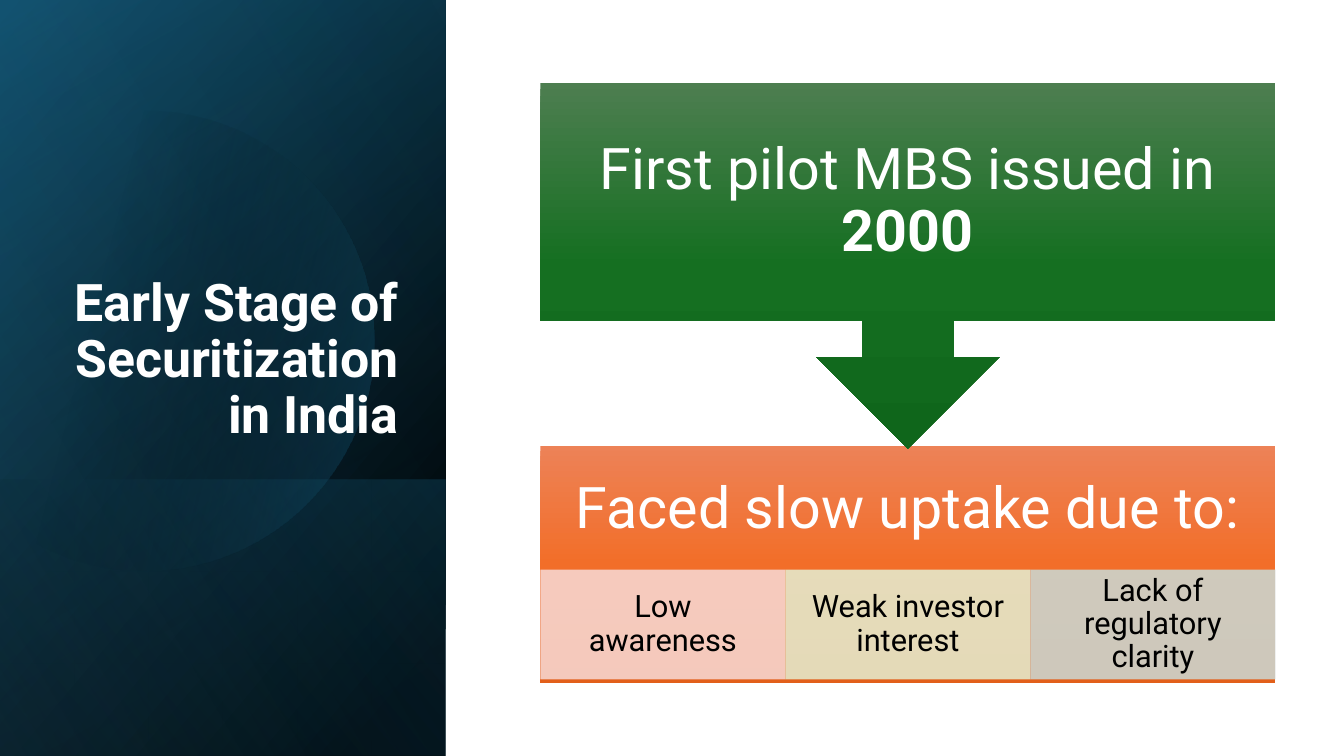
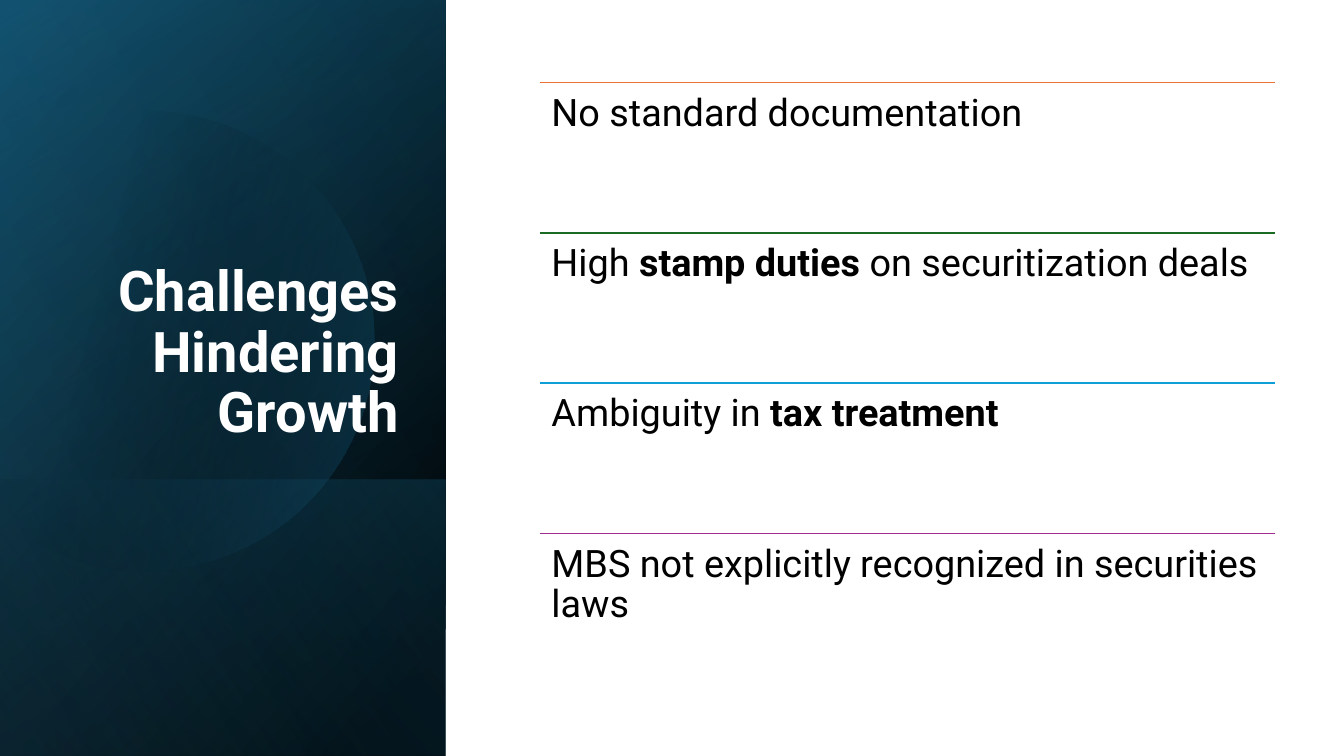
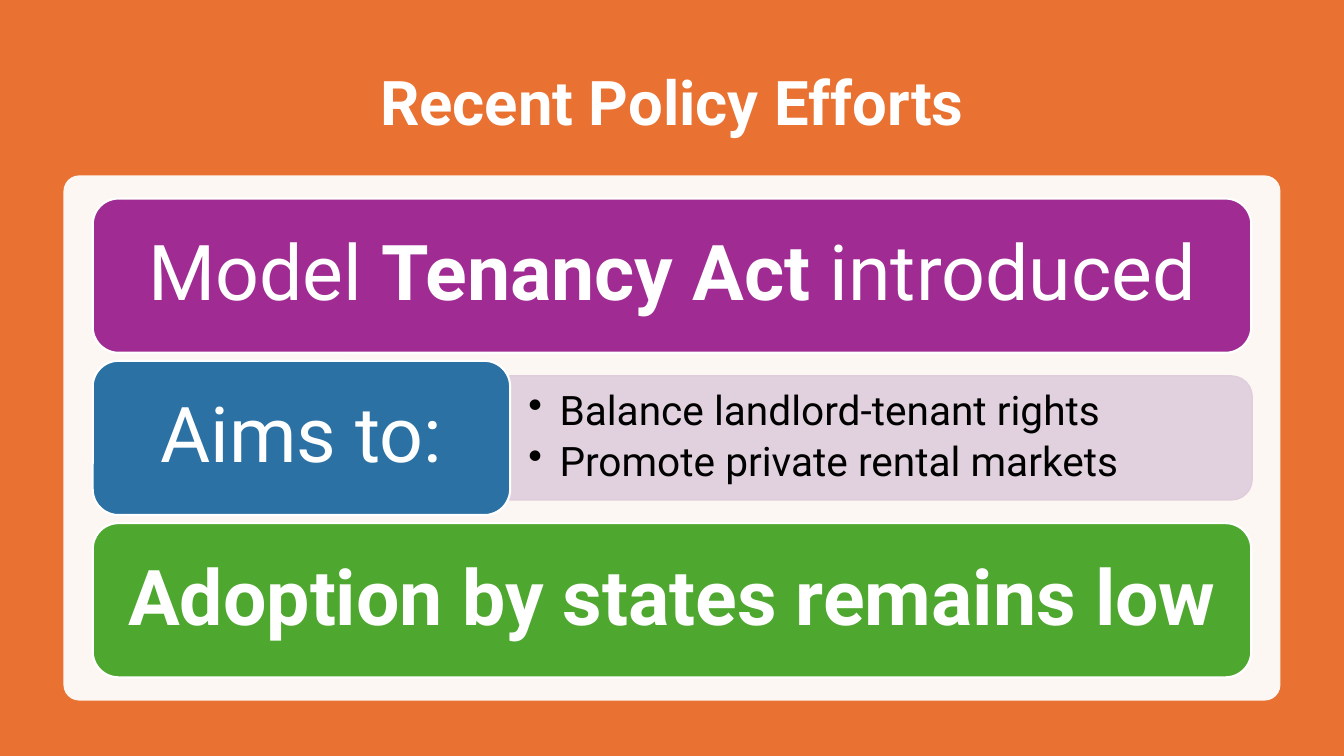
import math
from lxml import etree
from pptx import Presentation
from pptx.dml.color import RGBColor
from pptx.enum import shapes as es, text as et
from pptx.oxml import ns
from pptx.util import Inches, Pt

FONT = "Roboto"
WHITE, BLACK = RGBColor(255, 255, 255), RGBColor(0, 0, 0)
NAVY, TEAL = RGBColor(0x10, 0x48, 0x62), RGBColor(0x15, 0x60, 0x82)
SKY, AQUA = RGBColor(0x46, 0xB1, 0xE1), RGBColor(0x0F, 0x9E, 0xD5)
ORANGE, PLUM = RGBColor(0xE9, 0x71, 0x32), RGBColor(0xA0, 0x2B, 0x93)
PINE, LEAF = RGBColor(0x19, 0x6B, 0x24), RGBColor(0x4E, 0xA7, 0x2E)
STEEL, MAUVE = RGBColor(0x2C, 0x71, 0xA4), RGBColor(0xDF, 0xCD, 0xDC)
ROSE, LIME = RGBColor(0xF7, 0xD5, 0xCE), RGBColor(0xE5, 0xE8, 0xCA)
SAGE = RGBColor(0xCC, 0xD4, 0xCD)
GREENS = [(0, RGBColor(0x4D, 0x7E, 0x50), 100), (50, RGBColor(0x15, 0x6F, 0x21), 100),
          (100, RGBColor(0x0F, 0x66, 0x1B), 100)]
CORALS = [(0, RGBColor(0xED, 0x82, 0x57), 100), (50, RGBColor(0xF2, 0x6E, 0x29), 100),
          (100, RGBColor(0xE2, 0x5F, 0x1A), 100)]

KIND = es.MSO_SHAPE
LEFT, MID, RIGHT = et.PP_ALIGN.LEFT, et.PP_ALIGN.CENTER, et.PP_ALIGN.RIGHT
TOP, CENTER, BOTTOM = et.MSO_ANCHOR.TOP, et.MSO_ANCHOR.MIDDLE, et.MSO_ANCHOR.BOTTOM


def paint(shape, stops, angle=0, edge=None, width=1):
    """Fill with (position, colour, opacity) stops, angle clockwise; one stop is solid."""
    shape.shadow.inherit = False
    if len(stops) == 1:
        shape.fill.solid()
        shape.fill.fore_color.rgb = stops[0][1]
        tones = [shape.element.spPr.find(".//" + ns.qn("a:srgbClr"))]
    else:
        shape.fill.gradient()
        shape.fill.gradient_angle = -angle % 360
        ramp = shape.element.spPr.find(".//" + ns.qn("a:gsLst"))
        for old in list(ramp):
            ramp.remove(old)
        tones = []
        for pos, color, _ in stops:
            stop = etree.SubElement(ramp, ns.qn("a:gs"), pos=str(pos * 1000))
            tones.append(etree.SubElement(stop, ns.qn("a:srgbClr"), val=str(color)))
    for tone, (_, _, alpha) in zip(tones, stops):
        if alpha < 100:
            etree.SubElement(tone, ns.qn("a:alpha"), val=str(alpha * 1000))
    if edge is None:
        shape.line.fill.background()
    else:
        shape.line.color.rgb = edge
        shape.line.width = Pt(width)
    return shape


def write(shape, paras, size, color=WHITE, align=MID, anchor=CENTER,
          pad=(0.1, 0.05, 0.1, 0.05), bullet=False):
    """Each paragraph is a list of runs; a run starting with * is bold."""
    frame = shape.text_frame
    frame.word_wrap = True
    frame.vertical_anchor = anchor
    (frame.margin_left, frame.margin_top,
     frame.margin_right, frame.margin_bottom) = map(Inches, pad)
    for i, runs in enumerate(paras):
        para = frame.add_paragraph() if i else frame.paragraphs[0]
        para.alignment = align
        para.line_spacing = 0.9
        if bullet:
            para.space_after = Pt(5)
            props = para._p.get_or_add_pPr()
            props.set("marL", str(Inches(0.31)))
            props.set("indent", str(Inches(-0.31)))
            etree.SubElement(props, ns.qn("a:buChar"), char="•")
        for words in runs:
            run = para.add_run()
            run.text = words.lstrip("*")
            font = run.font
            font.name, font.size, font.bold = FONT, Pt(size), words.startswith("*")
            font.color.rgb = color


prs = Presentation()
prs.slide_width, prs.slide_height = Inches(13.33), Inches(7.5)
early, hurdles, policy = [prs.slides.add_slide(prs.slide_layouts[6]) for _ in range(3)]

# Dark side panel with title
PANEL = (0, 0, 4.42, 7.5)
FOOT = (0, 4.76, 4.42, 2.74)
BACK = [(PANEL, [(8, BLACK, 100), (100, NAVY, 100)], 220),
        (PANEL, [(0, BLACK, 0), (99, TEAL, 46)], 240),
        (FOOT, [(2, TEAL, 29), (100, BLACK, 30)], 140)]
GLOW = [(PANEL, [(0, BLACK, 0), (99, SKY, 11)], 150)]
RAD, MIDX, MIDY = 2.28, 1.43, 3.38
cut = math.acos(-MIDX / RAD)
arc = [(MIDX + RAD * math.cos(t), MIDY + RAD * math.sin(t))
       for t in [cut * (k / 40 - 1) for k in range(81)]]

for slide, title, size in [(early, "*Early Stage of Securitization in India", 37),
                           (hurdles, "*Challenges Hindering Growth", 40)]:
    for box, stops, angle in BACK:
        paint(slide.shapes.add_shape(KIND.RECTANGLE, *map(Inches, box)), stops, angle)
    pen = slide.shapes.build_freeform(Inches(arc[0][0]), Inches(arc[0][1]))
    pen.add_line_segments([(Inches(x), Inches(y)) for x, y in arc[1:]], close=True)
    paint(pen.convert_to_shape(), [(29, BLACK, 0), (100, TEAL, 43)], 14)
    for box, stops, angle in GLOW:
        paint(slide.shapes.add_shape(KIND.RECTANGLE, *map(Inches, box)), stops, angle)
    head = slide.shapes.add_textbox(*map(Inches, (0.64, 1.84, 3.41, 2.62)))
    write(head, [[title]], size, align=RIGHT, anchor=BOTTOM)

# Early stage: callout above the causes
COL, WIDE = 5.36, 7.29
base = early.shapes.add_shape(KIND.RECTANGLE, *map(Inches, (COL, 4.42, WIDE, 2.36)))
paint(base, CORALS, 90)
write(base, [["Faced slow uptake due to:"]], 41, pad=(0.32, 0.32, 0.32, 1.4))
for i, (cause, tint) in enumerate([("Low awareness", ROSE), ("Weak investor interest", LIME),
                                   ("Lack of regulatory clarity", SAGE)]):
    cell = early.shapes.add_shape(
        KIND.RECTANGLE, *map(Inches, (COL + i * WIDE / 3, 5.65, WIDE / 3, 1.09)))
    paint(cell, [(0, tint, 90)])
    write(cell, [[cause]], 22, BLACK, pad=(0.17, 0.03, 0.17, 0.03))
pilot = early.shapes.add_shape(KIND.DOWN_ARROW_CALLOUT, *map(Inches, (COL, 0.82, WIDE, 3.63)))
paint(pilot, GREENS, 90)
write(pilot, [["First pilot MBS issued in ", "*2000"]], 41, pad=(0.32,) * 4)

# Challenges: ruled rows
ROW = 1.49
for i, (runs, color) in enumerate([
        (["No standard documentation"], ORANGE),
        (["High ", "*stamp duties", " on securitization deals"], PINE),
        (["Ambiguity in ", "*tax treatment"], AQUA),
        (["MBS not explicitly recognized in securities laws"], PLUM)]):
    y = 0.82 + i * ROW
    rule = hurdles.shapes.add_connector(
        es.MSO_CONNECTOR.STRAIGHT, *map(Inches, (COL, y, COL + WIDE, y)))
    rule.line.color.rgb = color
    rule.line.width = Pt(1)
    etree.SubElement(rule.element.spPr, ns.qn("a:effectLst"))
    item = hurdles.shapes.add_textbox(*map(Inches, (COL, y, WIDE, ROW)))
    write(item, [runs], 27, BLACK, LEFT, TOP, (0.11,) * 4)

# Policy: card with three bars
policy.background.fill.solid()
policy.background.fill.fore_color.rgb = ORANGE
head = policy.shapes.add_textbox(*map(Inches, (0.92, 0.5, 11.5, 1.1)))
write(head, [["*Recent Policy Efforts"]], 44)
card = policy.shapes.add_shape(KIND.ROUNDED_RECTANGLE, *map(Inches, (0.63, 1.74, 12.07, 5.21)))
card.adjustments[0] = 0.03
paint(card, [(0, WHITE, 95)])
aims = policy.shapes.add_shape(KIND.ROUNDED_RECTANGLE, *map(Inches, (4.86, 3.73, 7.56, 1.23)))
paint(aims, [(0, MAUVE, 90)], edge=MAUVE)
write(aims, [["Balance landlord-tenant rights"], ["Promote private rental markets"]],
      29, BLACK, LEFT, pad=(0.32, 0.06, 0.12, 0.06), bullet=True)
for i, (runs, color, wide) in enumerate([
        (["Model ", "*Tenancy Act", " introduced"], PLUM, 11.49),
        (["Aims to:"], STEEL, 4.14),
        (["*Adoption by states remains low"], LEAF, 11.49)]):
    bar = policy.shapes.add_shape(
        KIND.ROUNDED_RECTANGLE, *map(Inches, (0.92, 1.97 + i * 1.61, wide, 1.53)))
    paint(bar, [(0, color, 100)], edge=WHITE, width=1.5)
    write(bar, [runs], 55, pad=(0.23, 0.11, 0.23, 0.11))

prs.save("out.pptx")
